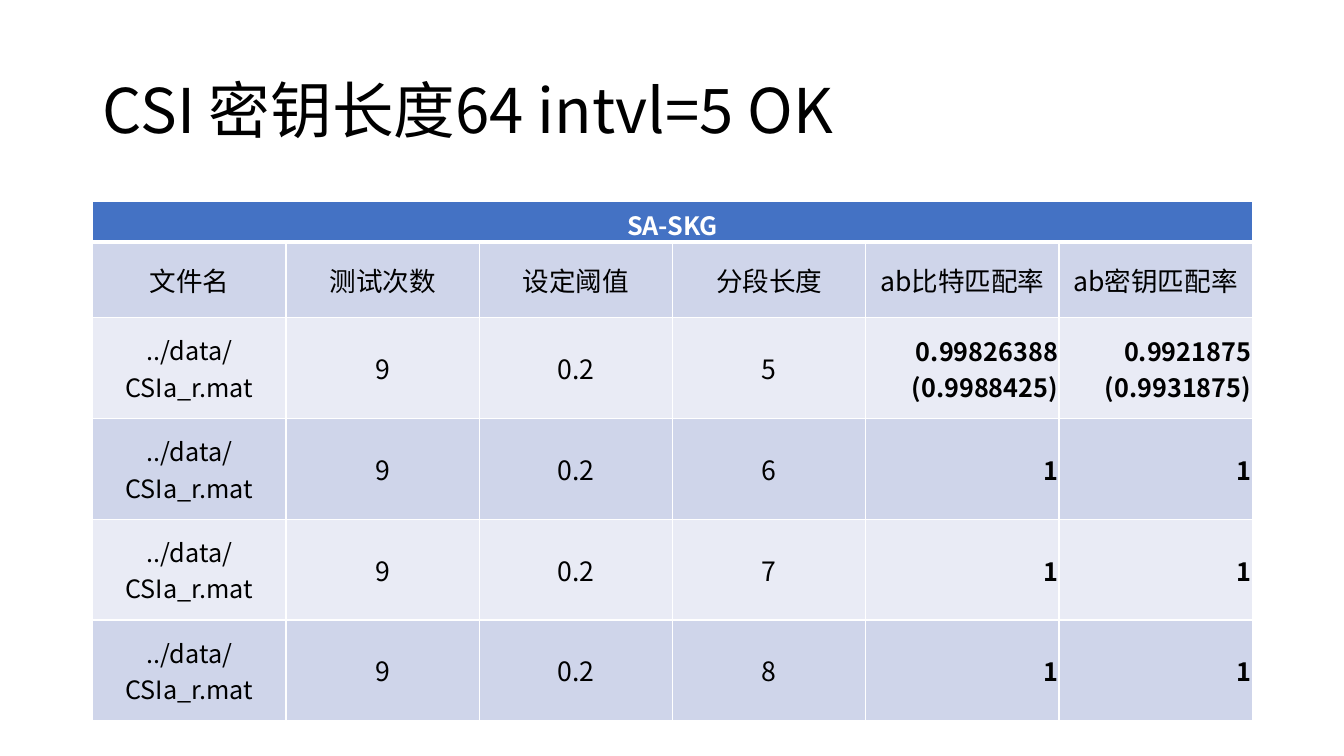
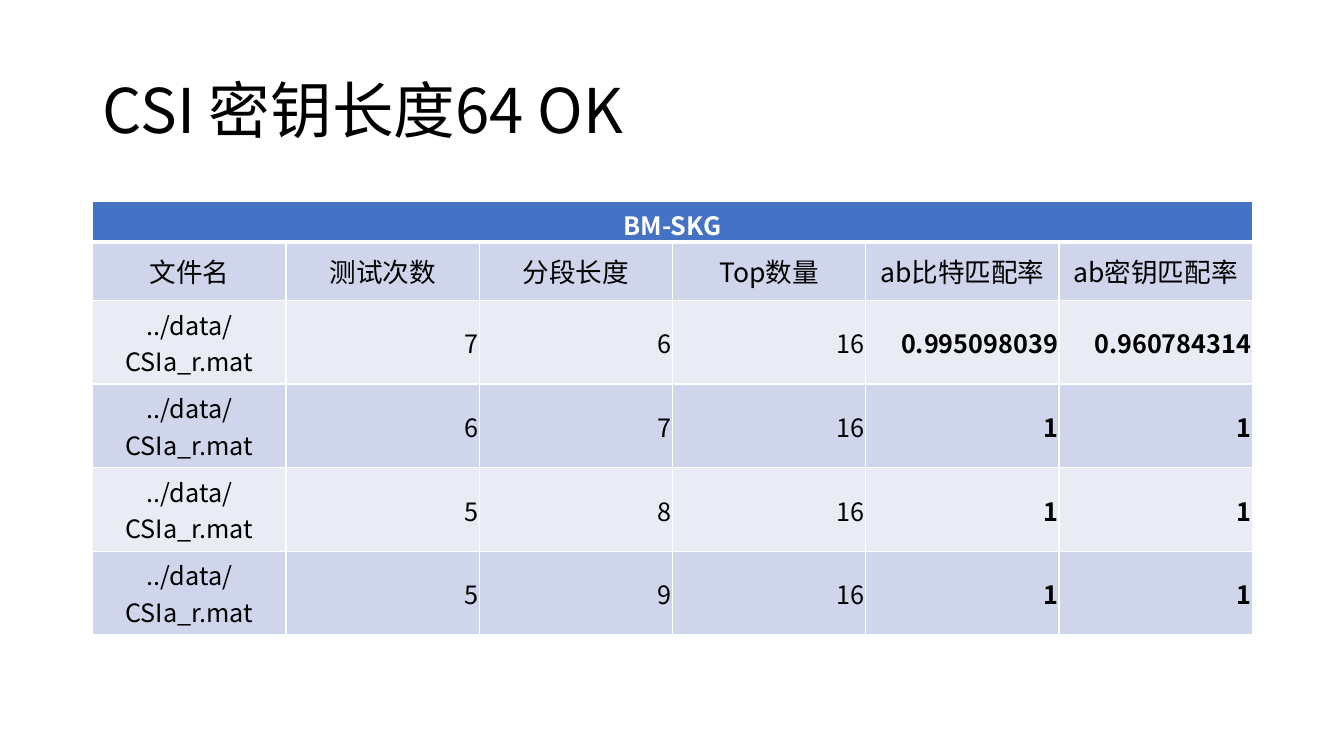
from dataclasses import dataclass

from lxml import etree
from pptx import Presentation
from pptx.dml.color import RGBColor
from pptx.enum import text as t
from pptx.oxml import ns
from pptx.util import Inches, Pt

FONT = "Noto Sans CJK SC"
BLACK = RGBColor(0x00, 0x00, 0x00)
WHITE = RGBColor(0xFF, 0xFF, 0xFF)
BLUE = RGBColor(0x44, 0x72, 0xC4)
DARK = RGBColor(0xCF, 0xD5, 0xEA)
LIGHT = RGBColor(0xE9, 0xEB, 0xF5)
LEFT, WIDTH = Inches(0.92), Inches(11.5)
MID, RIGHT = t.PP_ALIGN.CENTER, t.PP_ALIGN.RIGHT
FILE = "../data/CSIa_r.mat"
RATES = ["ab比特匹配率", "ab密钥匹配率"]


@dataclass
class Style:
    """Look of the text in a cell."""
    size: int
    bold: bool = False
    color: RGBColor = BLACK
    align: t.PP_ALIGN = MID


BAND = Style(18, True, WHITE)
HEAD = Style(19)
NAME = Style(18)
COUNT = Style(19)
VALUE = Style(18, align=RIGHT)
RATE = Style(18, True, align=RIGHT)


@dataclass
class Page:
    """One slide: its title and its table of results."""
    title: str
    band: str
    heads: list[str]
    rows: list[list[str]]
    style: Style
    head: float
    row: float


PAGES = [
    Page("CSI 密钥长度64 intvl=5 OK", "SA-SKG",
         ["文件名", "测试次数", "设定阈值", "分段长度", *RATES],
         [[FILE, "9", "0.2", "5", "0.99826388\n(0.9988425)",
           "0.9921875\n(0.9931875)"],
          *([FILE, "9", "0.2", size, "1", "1"] for size in "678")],
         COUNT, 0.75, 1),
    Page("CSI 密钥长度64 OK", "BM-SKG",
         ["文件名", "测试次数", "分段长度", "Top数量", *RATES],
         [[FILE, "7", "6", "16", "0.995098039", "0.960784314"],
          [FILE, "6", "7", "16", "1", "1"],
          [FILE, "5", "8", "16", "1", "1"],
          [FILE, "5", "9", "16", "1", "1"]],
         VALUE, 0.58, 0.83),
]


def write(frame, words: str, style: Style) -> None:
    """Put words in a text frame and format every run."""
    frame.text = words
    for para in frame.paragraphs:
        para.alignment = style.align
        for run in para.runs:
            font = run.font
            font.size, font.bold = Pt(style.size), style.bold
            font.color.rgb = style.color
            font.name = FONT
            east = etree.SubElement(run._r.get_or_add_rPr(), ns.qn("a:ea"))
            east.set("typeface", FONT)


def edge(cell, top: float = 1, base: float = 1) -> None:
    """Draw the white borders of a cell, with widths in points."""
    props = cell._tc.get_or_add_tcPr()
    sides = {"lnL": 1, "lnR": 1, "lnT": top, "lnB": base}
    for spot, (tag, width) in enumerate(sides.items()):
        line = etree.Element(ns.qn(f"a:{tag}"), w=str(Pt(width)))
        fill = etree.SubElement(line, ns.qn("a:solidFill"))
        etree.SubElement(fill, ns.qn("a:srgbClr"), val=str(WHITE))
        props.insert(spot, line)


def paint(cell, words: str, style: Style, fill: RGBColor) -> None:
    """Fill a cell and write its text."""
    cell.fill.solid()
    cell.fill.fore_color.rgb = fill
    cell.vertical_anchor = t.MSO_ANCHOR.MIDDLE
    if style.align == RIGHT:
        cell.margin_left = cell.margin_right = Inches(0.01)
        cell.margin_top, cell.margin_bottom = Inches(0.01), 0
    write(cell.text_frame, words, style)


def add_title(slide, words: str) -> None:
    """Add the slide title."""
    box = slide.shapes.add_textbox(LEFT, Inches(0.4), WIDTH, Inches(1.45))
    frame = box.text_frame
    frame.word_wrap = True
    frame.vertical_anchor = t.MSO_ANCHOR.MIDDLE
    write(frame, words, Style(44, align=t.PP_ALIGN.LEFT))
    frame.paragraphs[0].line_spacing = 0.9


def add_grid(slide, page: Page) -> None:
    """Add the table: a merged band, the heads and the rows."""
    highs = [0.4, page.head] + [page.row] * len(page.rows)
    cols = len(page.heads)
    grid = slide.shapes.add_table(len(highs), cols, LEFT, Inches(2),
                                  WIDTH, Inches(sum(highs))).table
    for row, high in zip(grid.rows, highs):
        row.height = Inches(high)
    grid.cell(0, 0).merge(grid.cell(0, cols - 1))
    paint(grid.cell(0, 0), page.band, BAND, BLUE)
    for col in range(cols):
        edge(grid.cell(0, col), base=3)
    body = [NAME] + [page.style] * 3 + [RATE] * 2
    for num, words in enumerate([page.heads, *page.rows], 1):
        styles = [HEAD] * cols if num == 1 else body
        for col, (word, style) in enumerate(zip(words, styles)):
            cell = grid.cell(num, col)
            paint(cell, word, style, DARK if num % 2 else LIGHT)
            edge(cell, top=3 if num == 1 else 1)


def main() -> None:
    """Build and save the slides."""
    deck = Presentation()
    deck.slide_width, deck.slide_height = Inches(13.33), Inches(7.5)
    for page in PAGES:
        slide = deck.slides.add_slide(deck.slide_layouts[6])
        add_title(slide, page.title)
        add_grid(slide, page)
    deck.save("out.pptx")


main()
